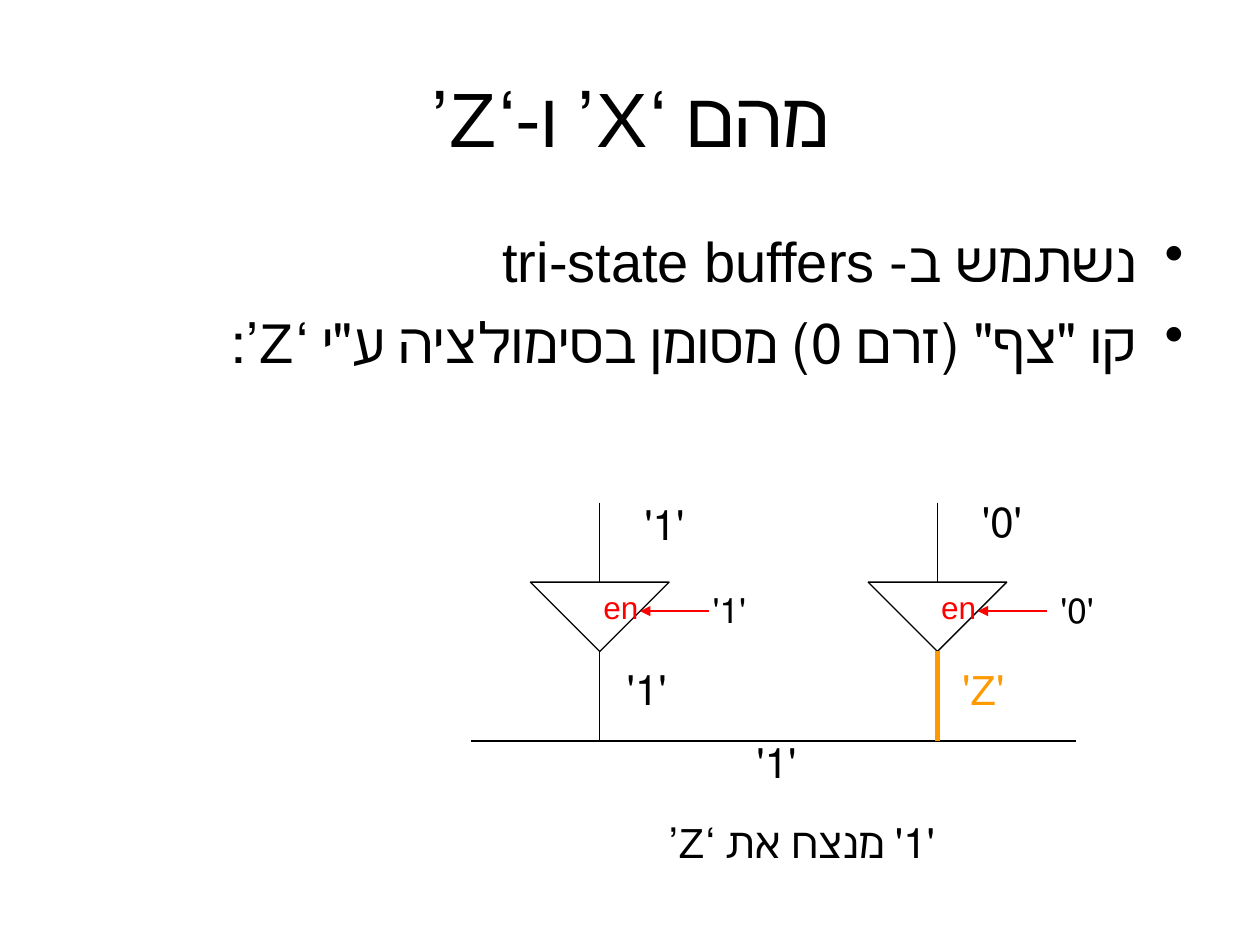
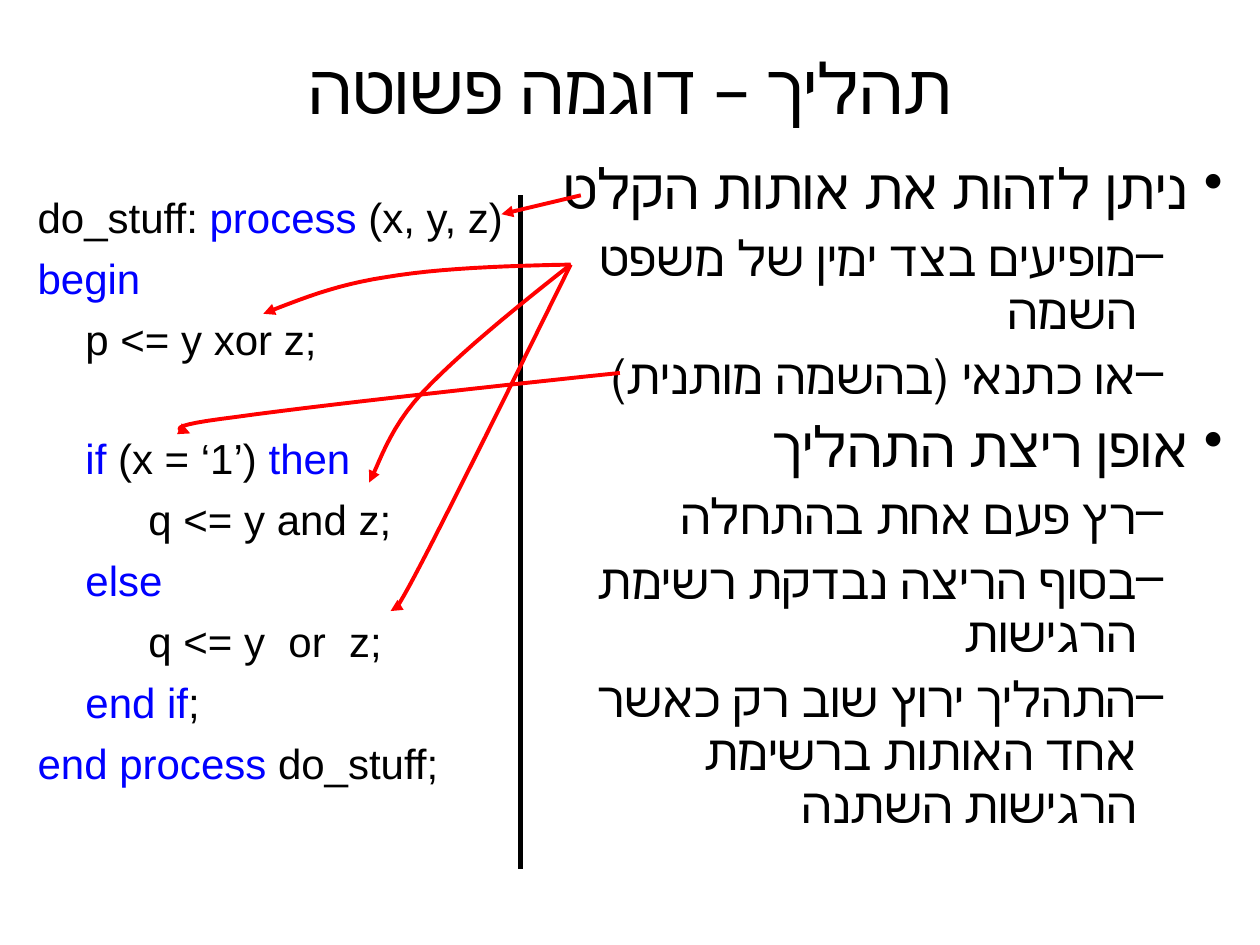
from lxml import etree
from pptx import Presentation
from pptx.dml.color import RGBColor
from pptx.enum.shapes import MSO_CONNECTOR, MSO_SHAPE
from pptx.enum.text import MSO_ANCHOR, MSO_AUTO_SIZE, PP_ALIGN
from pptx.oxml.ns import qn
from pptx.util import Emu, Pt

PX = 9144
FONT = "Arial"
BLACK, RED, BLUE, ORANGE = "000000", "FF0000", "0000FF", "FF9900"
LEFT, MID, RIGHT = PP_ALIGN.LEFT, PP_ALIGN.CENTER, PP_ALIGN.RIGHT
MIDDLE, NOFIT = MSO_ANCHOR.MIDDLE, MSO_AUTO_SIZE.NONE
STRAIGHT, TRIANGLE = MSO_CONNECTOR.STRAIGHT, MSO_SHAPE.ISOSCELES_TRIANGLE
TITLE_ONLY = 5
STEPS = 12

POINTS = [
    (0, "ניתן לזהות את אותות הקלט"),
    (1, "מופיעים בצד ימין של משפט השמה"),
    (1, "או כתנאי (בהשמה מותנית)"),
    (0, "אופן ריצת התהליך"),
    (1, "רץ פעם אחת בהתחלה"),
    (1, "בסוף הריצה נבדקת רשימת הרגישות"),
    (1, "התהליך ירוץ שוב רק כאשר אחד האותות ברשימת הרגישות השתנה"),
]
CODE = [
    (6, [("do_stuff: ", BLACK), ("process", BLUE), (" (x, y, z)", BLACK)]),
    (6, [("begin", BLUE)]),
    (6, [("\tp <= y xor z;", BLACK)]),
    (39.6, [("\tif", BLUE), (" (x = ‘1’) ", BLACK), ("then", BLUE)]),
    (6, [("\t\tq <= y and z;", BLACK)]),
    (6, [("\telse", BLUE)]),
    (6, [("\t\tq <= y  or  z;", BLACK)]),
    (6, [("\tend if", BLUE), (";", BLACK)]),
    (6, [("end process", BLUE), (" do_stuff;", BLACK)]),
]
CURVES = [
    [(453, 210), (400, 211), (347, 213), (306, 220),
     (266, 226), (237, 238), (209, 249)],
    [(453, 210), (407, 246), (362, 283), (335, 312),
     (308, 341), (300, 371), (293, 383)],
    [(453, 210), (406, 305), (359, 400), (335, 446),
     (311, 492), (310, 489), (310, 485)],
    [(492, 296), (368, 309), (244, 323), (187, 331),
     (130, 338), (140, 341), (151, 344)],
]


def px(*nums):
    return [Emu(round(n * PX)) for n in nums]


def color(code):
    return RGBColor.from_string(code)


def style(para, size, tint=None, align=LEFT, rtl=False):
    para.alignment = align
    if rtl:
        para._p.get_or_add_pPr().set("rtl", "1")
    para.font.name = FONT
    para.font.size = Pt(size)
    if tint:
        para.font.color.rgb = color(tint)


def indent(para, hang, left):
    props = para._p.get_or_add_pPr()
    props.set("marL", str(left * PX))
    props.set("indent", str(-hang * PX))
    return props


def frame(slide, box):
    text = slide.shapes.add_textbox(*px(*box)).text_frame
    text.word_wrap = True
    return text


def label(slide, box, words, size=24, tint=BLACK, rtl=True):
    para = frame(slide, box).paragraphs[0]
    para.text = words
    style(para, size, tint, RIGHT if rtl else LEFT, rtl)


def title(slide, box, words, size):
    head = slide.shapes.title
    head.left, head.top, head.width, head.height = px(*box)
    text = head.text_frame
    text.auto_size = NOFIT
    text.vertical_anchor = MIDDLE
    text.text = words
    style(text.paragraphs[0], size, BLACK, MID, True)


def bullets(slide, box, items, levels, space=None):
    text = frame(slide, box)
    for i, (level, words) in enumerate(items):
        para = text.paragraphs[0] if i == 0 else text.add_paragraph()
        mark, size, hang, left, gap = levels[level]
        para.text = words
        para.level = level
        if space:
            para.line_spacing = space
        if i:
            para.space_before = Pt(gap)
        props = indent(para, hang, left)
        etree.SubElement(props, qn("a:buChar")).set("char", mark)
        style(para, size, BLACK, RIGHT, True)


def listing(slide, box):
    text = frame(slide, box)
    for i, (gap, parts) in enumerate(CODE):
        para = text.paragraphs[0] if i == 0 else text.add_paragraph()
        if i:
            para.space_before = Pt(gap)
        props = indent(para, 38, 38)
        tabs = etree.SubElement(props, qn("a:tabLst"))
        for stop in range(8):
            tab = etree.SubElement(tabs, qn("a:tab"))
            tab.set("pos", str(stop * 100 * PX))
            tab.set("algn", "l")
        style(para, 24)
        for words, tint in parts:
            run = para.add_run()
            run.text = words
            run.font.color.rgb = color(tint)


def stroke(shape, tint, width, arrow=False):
    shape.line.color.rgb = color(tint)
    shape.line.width = Pt(width)
    if arrow:
        tail = etree.SubElement(shape.line._get_or_add_ln(), qn("a:tailEnd"))
        tail.set("type", "triangle")


def wire(slide, ends, tint=BLACK, width=0.75, arrow=False):
    link = slide.shapes.add_connector(STRAIGHT, *px(*ends))
    stroke(link, tint, width, arrow)
    etree.SubElement(link._element.spPr, qn("a:effectLst"))


def bezier(knots, t):
    u = 1 - t
    weights = (u ** 3, 3 * u * u * t, 3 * u * t * t, t ** 3)
    return px(*(sum(w * k[axis] for w, k in zip(weights, knots))
                for axis in (0, 1)))


def curve(slide, knots):
    dots = [bezier(knots[s:s + 4], i / STEPS)
            for s in range(0, len(knots) - 1, 3)
            for i in range(1, STEPS + 1)]
    maker = slide.shapes.build_freeform(*px(*knots[0]), scale=1.0)
    maker.add_line_segments(dots, close=False)
    path = maker.convert_to_shape()
    path.shadow.inherit = False
    path.fill.background()
    stroke(path, RED, 2.25, True)


def buffer(slide, x, y, bits, lift, shift, tint=BLACK, width=0.75):
    data, enable, result = bits
    mid = x + 55
    wire(slide, (mid, y, mid, y + 63))
    gate = slide.shapes.add_shape(TRIANGLE, *px(x, y + 63, 110, 55))
    gate.rotation = 180
    gate.shadow.inherit = False
    gate.fill.background()
    stroke(gate, BLACK, 0.75)
    wire(slide, (mid, y + 118, mid, y + 189), tint, width)
    wire(slide, (x + 142, y + 86, x + 87, y + 86), RED, 0.75, True)
    label(slide, (x + 48, y + 63, 71, 40), "en", 18, RED, False)
    label(slide, (x + 77, y - lift, 55, 50), data)
    label(slide, (x + shift, y + 63, 55, 44), enable, 20)
    label(slide, (x + 63, y + 123, 55, 50), result, 24, tint)


def circuit(slide, x, y):
    wire(slide, (x, y + 189, x + 480, y + 189))
    buffer(slide, x + 47, y, ("'1'", "'1'", "'1'"), 8, 126)
    buffer(slide, x + 315, y, ("'0'", "'0'", "'Z'"), 11, 134, ORANGE, 3)
    label(slide, (x + 213, y + 181, 55, 50), "'1'")
    label(slide, (x + 95, y + 244, 283, 50), "'1' מנצח את ‘Z’")


def states(slide):
    title(slide, (50, 30, 900, 125), "מהם ‘X’ ו-‘Z’", 44)
    items = [(0, "נשתמש ב- tri-state buffers"),
             (0, "קו \"צף\" (זרם 0) מסומן בסימולציה ע\"י ‘Z’:")]
    bullets(slide, (50, 175, 900, 495), items, [("•", 32, 38, 38, 8)])
    circuit(slide, 374, 399)


def process(slide):
    title(slide, (50, 30, 900, 77), "תהליך – דוגמה פשוטה", 40)
    levels = [("•", 32, 28, 28, 8), ("–", 28, 21, 69, 7)]
    bullets(slide, (413, 123, 568, 575), POINTS, levels, 0.9)
    listing(slide, (20, 147, 465, 575))
    wire(slide, (413, 155, 413, 690), BLACK, 3)
    for knots in CURVES:
        curve(slide, knots)
    wire(slide, (461, 155, 398, 170), RED, 2.25, True)


def main():
    deck = Presentation()
    deck.slide_width, deck.slide_height = px(1000, 750)
    for build in (states, process):
        build(deck.slides.add_slide(deck.slide_layouts[TITLE_ONLY]))
    deck.save("out.pptx")


if __name__ == "__main__":
    main()
